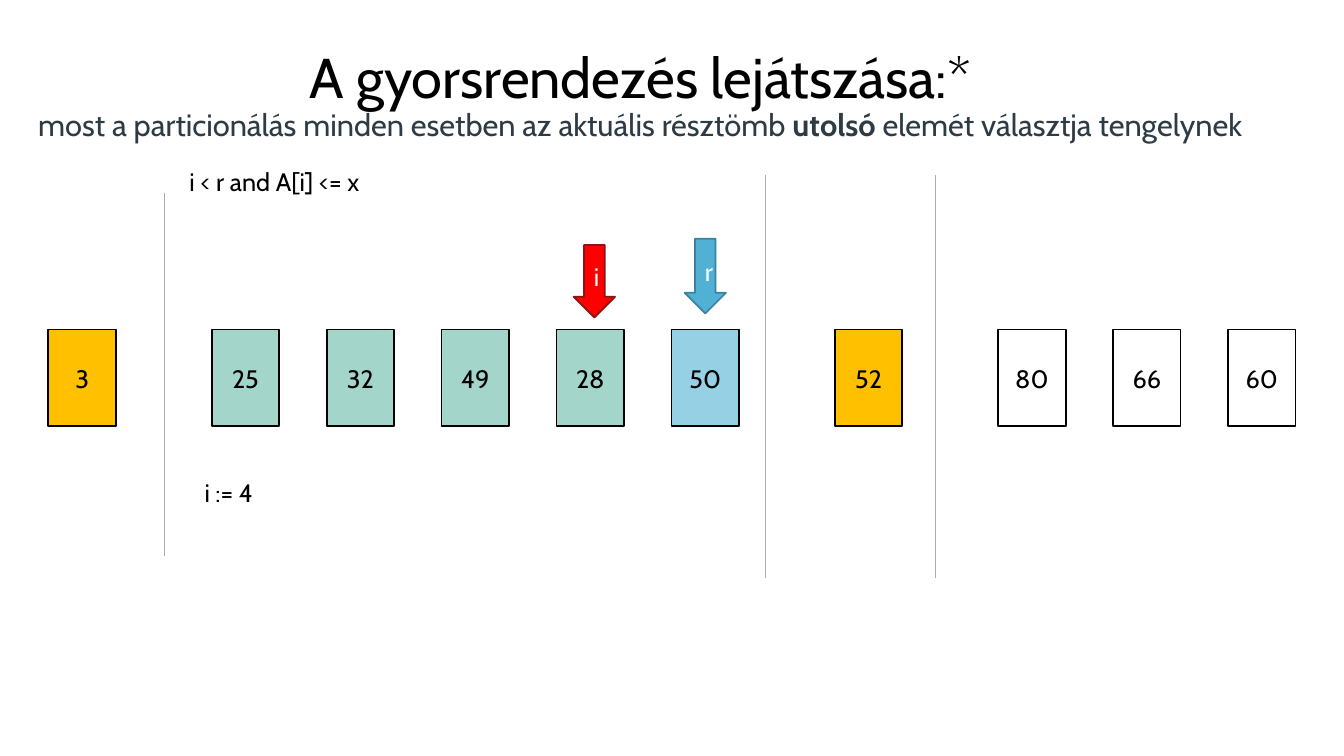
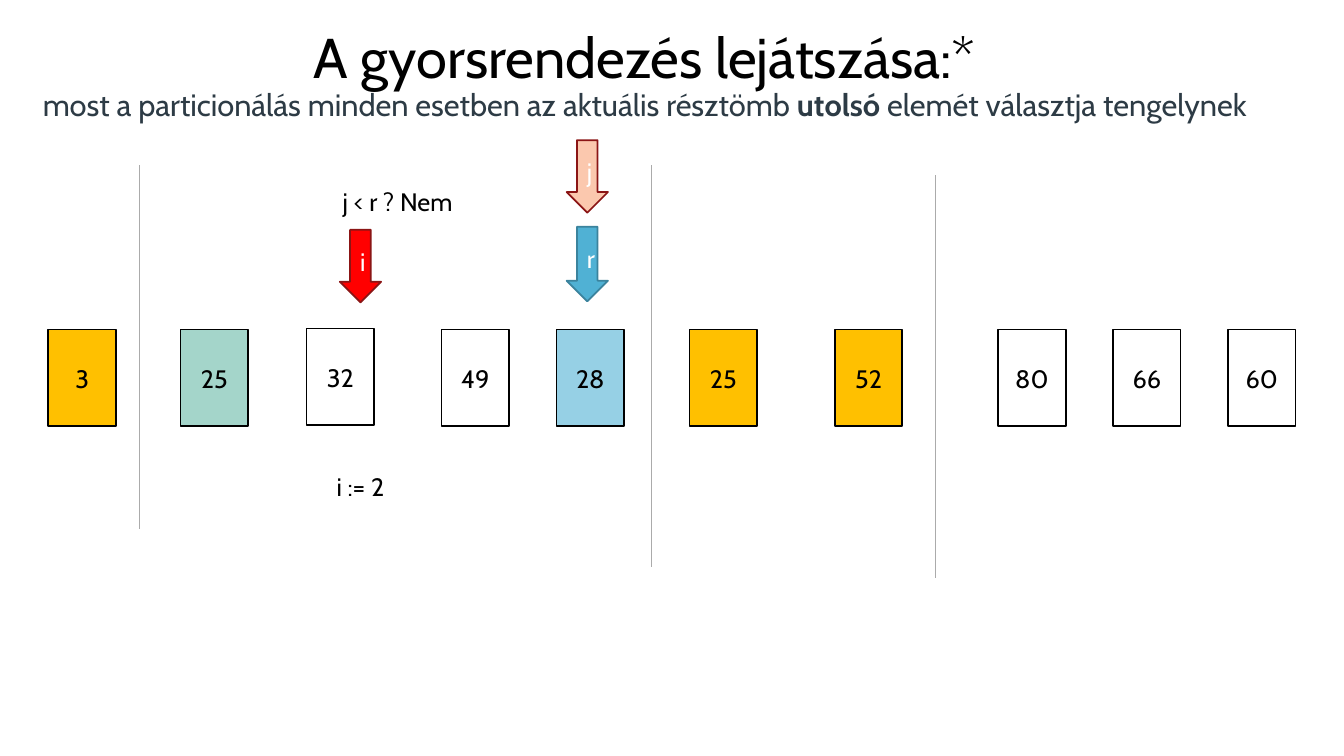
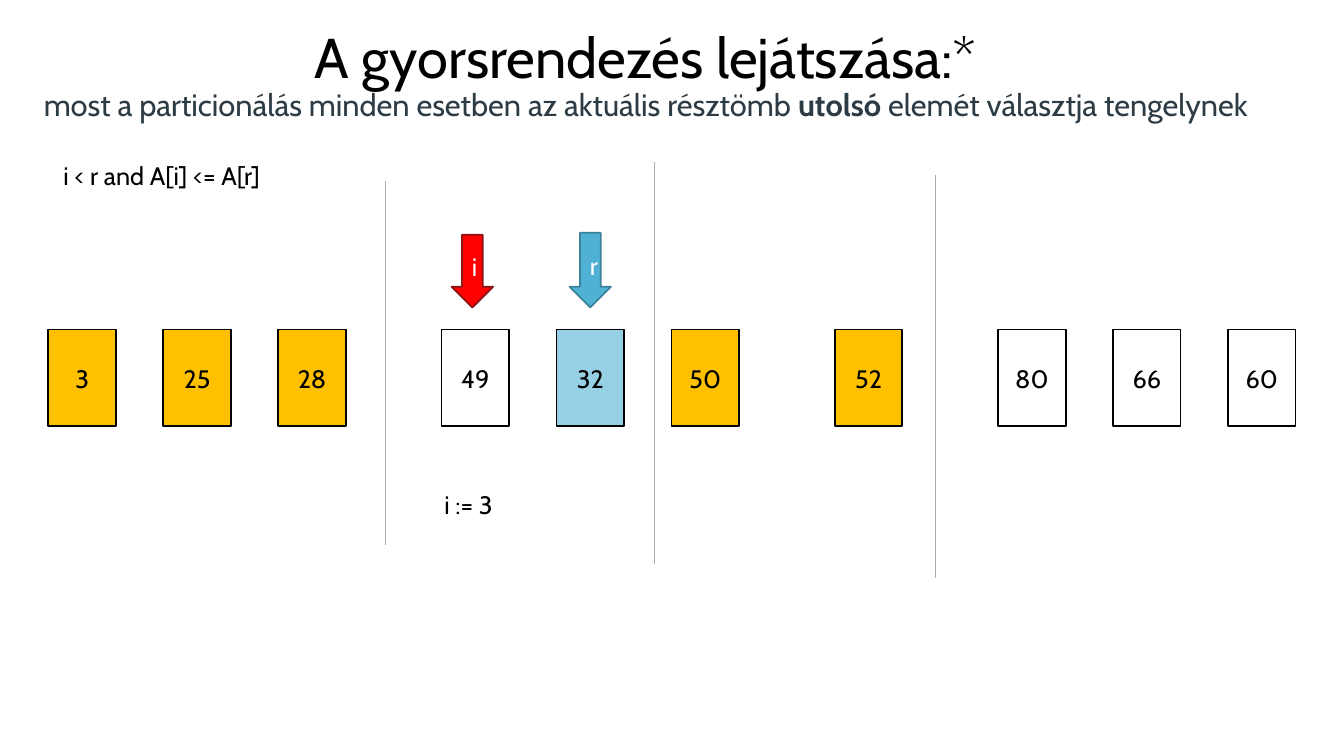
"""Build three slides that step through a quicksort run."""
from pptx import Presentation
from pptx.dml.color import RGBColor
from pptx.enum import shapes, text
from pptx.oxml import ns
from pptx.util import Inches, Pt
from lxml import etree

COLORS = {
    "black": "000000", "white": "FFFFFF", "slate": "2D3B45", "grey": "ABABAB",
    "open": "FFFFFF", "done": "FFC000", "small": "A4D5CA", "pivot": "96D0E5",
    "blue": "50B1D4", "blue_edge": "3B839D",
    "red": "FF0000", "peach": "FBC8AE", "red_edge": "8B1515",
}
FONT = "Cabin"
TITLE_SPANS = [
    ("A gyorsrendezés lejátszása:*", 40, "black", None),
    ("most a particionálás minden esetben az aktuális résztömb ", 22, "slate", None),
    ("utolsó", 22, "slate", True),
    (" elemét választja tengelynek", 22, "slate", False),
]
ARROWS = {
    "i": ("red", "red_edge", 0.72),
    "j": ("peach", "red_edge", 0.72),
    "r": ("blue", "blue_edge", 0.74),
}
CELL_LEFT, CELL_TOP, CELL_WIDTH, CELL_HEIGHT = 0.48, 3.27, 0.67, 0.96
CELL_STEP, GROUP_STEP = 1.14, 1.62
ARROW_WIDTH, LABEL_HEIGHT = 0.41, 0.4
LAST_GROUPS = [
    [(52, "done")],
    [(80, "open"), (66, "open"), (60, "open")],
]
LAST_DIVIDER = (9.28, 1.74, 5.73)
STEPS = [
    {
        "title": (0.17, 0.18, 12.36),
        "groups": [
            [(3, "done")],
            [(25, "small"), (32, "small"), (49, "small"), (28, "small"), (50, "pivot")],
        ],
        "shifts": {},
        "arrows": [("r", 6.79, 2.37), ("i", 5.69, 2.43)],
        "labels": [("i := 4", 1.93, 4.69, 1.61), ("i < r and A[i] <= x", 1.78, 1.6, 2.17)],
        "dividers": [(7.59, 1.74, 5.73), (1.63, 1.91, 5.52)],
    },
    {
        "title": (0.26, -0.02, 12.27),
        "groups": [
            [(3, "done"), (25, "small"), (32, "open")],
            [(49, "open"), (28, "pivot"), (25, "done")],
        ],
        "shifts": {1: (0.17, 0), 2: (0.28, -0.01), 5: (0.18, 0)},
        "arrows": [("r", 5.62, 2.25), ("i", 3.37, 2.28), ("j", 5.62, 1.39)],
        "labels": [("i := 2", 3.24, 4.63, 1.61), ("j < r ? Nem", 3.3, 1.8, 1.44)],
        "dividers": [(6.46, 1.64, 5.63), (1.38, 1.64, 5.25)],
    },
    {
        "title": (0.28, -0.02, 12.25),
        "groups": [
            [(3, "done"), (25, "done"), (28, "done")],
            [(49, "open"), (32, "pivot"), (50, "done")],
        ],
        "shifts": {},
        "arrows": [("r", 5.65, 2.31), ("i", 4.48, 2.33)],
        "labels": [("i := 3", 4.31, 4.81, 1.61), ("i < r and A[i] <= A[r]", 0.53, 1.54, 2.53)],
        "dividers": [(6.49, 1.61, 5.6), (3.82, 1.8, 5.41)],
    },
]


def apply(target, values):
    """Set each named attribute on the target."""
    for name, value in values.items():
        setattr(target, name, value)


def rgb(name):
    """Return the named colour."""
    return RGBColor.from_string(COLORS[name])


def add_span(para, words, size=18, color="black", bold=None):
    """Add one formatted run to a paragraph."""
    span = para.add_run()
    span.text = words
    apply(span.font, {"name": FONT, "size": Pt(size), "bold": bold})
    span.font.color.rgb = rgb(color)


def add_title(page, left, top, width):
    """Place the title with its smaller second line."""
    box = page.shapes.title
    apply(box, {"left": Inches(left), "top": Inches(top),
                "width": Inches(width), "height": Inches(1.56)})
    apply(box.text_frame, {"word_wrap": True, "auto_size": text.MSO_AUTO_SIZE.NONE,
                           "vertical_anchor": text.MSO_ANCHOR.MIDDLE})
    para = box.text_frame.paragraphs[0]
    apply(para, {"alignment": text.PP_ALIGN.CENTER, "line_spacing": 0.9})
    heading, *subtitle = TITLE_SPANS
    add_span(para, *heading)
    para.add_line_break()
    for span in subtitle:
        add_span(para, *span)


def add_figure(page, kind, place, fill, edge, words, color):
    """Add a filled, outlined shape with centred text."""
    box = page.shapes.add_shape(kind, *map(Inches, place))
    box.shadow.inherit = False
    box.fill.solid()
    box.fill.fore_color.rgb = rgb(fill)
    box.line.color.rgb = rgb(edge)
    box.line.width = Pt(1.25)
    box.text_frame.vertical_anchor = text.MSO_ANCHOR.MIDDLE
    para = box.text_frame.paragraphs[0]
    para.alignment = text.PP_ALIGN.CENTER
    add_span(para, words, color=color)


def add_cells(page, groups, shifts):
    """Lay out the array cells, with a wider step between groups."""
    left, index = CELL_LEFT, 0
    for group in groups:
        for place, (value, state) in enumerate(group):
            right, down = shifts.get(index, (0, 0))
            cell = (left + place * CELL_STEP + right, CELL_TOP + down,
                    CELL_WIDTH, CELL_HEIGHT)
            add_figure(page, shapes.MSO_SHAPE.RECTANGLE, cell, state, "black",
                       str(value), "black")
            index += 1
        left += (len(group) - 1) * CELL_STEP + GROUP_STEP


def add_arrow(page, letter, left, top):
    """Add the down arrow of an index variable."""
    fill, edge, height = ARROWS[letter]
    add_figure(page, shapes.MSO_SHAPE.DOWN_ARROW, (left, top, ARROW_WIDTH, height),
               fill, edge, letter, "white")


def add_label(page, words, left, top, width):
    """Add a plain text label."""
    box = page.shapes.add_textbox(*map(Inches, (left, top, width, LABEL_HEIGHT)))
    apply(box.text_frame, {"word_wrap": True,
                           "auto_size": text.MSO_AUTO_SIZE.SHAPE_TO_FIT_TEXT})
    add_span(box.text_frame.paragraphs[0], words)


def add_divider(page, left, top, bottom):
    """Add a thin vertical line between subarrays."""
    line = page.shapes.add_connector(shapes.MSO_CONNECTOR.STRAIGHT,
                                     *map(Inches, (left, top, left, bottom)))
    line.line.color.rgb = rgb("grey")
    line.line.width = Pt(0.75)
    etree.SubElement(line._element.spPr, ns.qn("a:effectLst"))


def add_step(deck, step):
    """Add one slide of the run."""
    page = deck.slides.add_slide(deck.slide_layouts[5])
    add_title(page, *step["title"])
    add_cells(page, step["groups"] + LAST_GROUPS, step["shifts"])
    for arrow in step["arrows"]:
        add_arrow(page, *arrow)
    for label in step["labels"]:
        add_label(page, *label)
    for divider in [LAST_DIVIDER] + step["dividers"]:
        add_divider(page, *divider)


def main():
    """Build and save the deck."""
    deck = Presentation()
    apply(deck, {"slide_width": Inches(13.33), "slide_height": Inches(7.5)})
    for step in STEPS:
        add_step(deck, step)
    deck.save("out.pptx")


if __name__ == "__main__":
    main()
